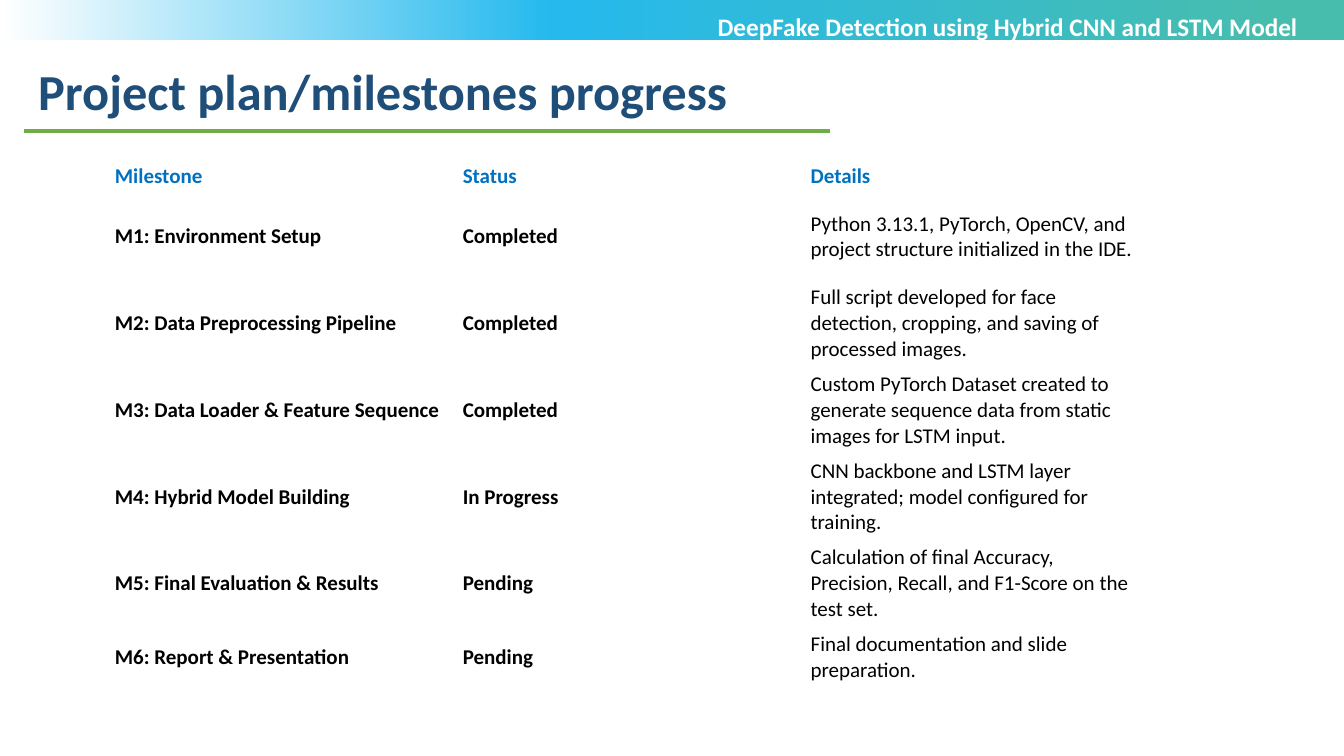
from pptx import Presentation
from pptx.dml.color import RGBColor
from pptx.enum.shapes import MSO_CONNECTOR, MSO_SHAPE
from pptx.enum.text import MSO_ANCHOR, PP_ALIGN
from pptx.oxml import parse_xml
from pptx.oxml.ns import nsdecls, qn
from pptx.util import Inches, Pt
from lxml.etree import SubElement

COLORS = {
    "teal": "47BDAE", "sky": "25B9ED", "white": "FFFFFF",
    "navy": "1F4E79", "green": "70AD47", "blue": "0070C0", "black": "000000",
}


def write(frame, text, size, color, bold=True):
    para = frame.paragraphs[0]
    run = para.add_run()
    run.text = text
    style = {"name": "Calibri", "size": Pt(size), "bold": bold}
    for key, value in style.items():
        setattr(run.font, key, value)
    run.font.color.rgb = RGBColor.from_string(COLORS[color])
    return para


def add_text(box, text, size, color):
    frame = slide.shapes.add_textbox(*map(Inches, box)).text_frame
    frame.word_wrap = True
    return write(frame, text, size, color)


deck = Presentation()
deck.slide_width, deck.slide_height = Inches(13.33), Inches(7.5)
slide = deck.slides.add_slide(deck.slide_layouts[6])

# Gradient band across the top
band = slide.shapes.add_shape(
    MSO_SHAPE.RECTANGLE, 0, 0, deck.slide_width, Inches(0.4))
band.shadow.inherit = False
band.line.fill.background()
band.fill.gradient()
band.fill.gradient_angle = 0
stops = "".join(
    f'<a:gs pos="{spot * 1000}"><a:srgbClr val="{COLORS[name]}"/></a:gs>'
    for spot, name in ((0, "white"), (41, "sky"), (95, "teal")))
grad = band._element.spPr.find(qn("a:gradFill"))
grad.replace(grad.find(qn("a:gsLst")),
             parse_xml(f'<a:gsLst {nsdecls("a")}>{stops}</a:gsLst>'))

# Title with its rule, and the project name in the band
add_text((0.28, 0.55, 11.62, 0.71),
         "Project plan/milestones progress", 36, "navy")
rule = slide.shapes.add_connector(
    MSO_CONNECTOR.STRAIGHT, Inches(0.24), Inches(1.3), Inches(8.23), Inches(1.3))
rule.line.color.rgb = RGBColor.from_string(COLORS["green"])
rule.line.width = Pt(2.25)
SubElement(rule._element.spPr, qn("a:effectLst"))
topic = add_text((6.66, 0.06, 6.67, 0.71),
                 "DeepFake Detection using Hybrid CNN and LSTM Model", 18, "white")
topic.alignment = PP_ALIGN.CENTER

# Milestone table
ROWS = [
    ("Milestone", "Status", "Details"),
    ("M1: Environment Setup", "Completed",
     "Python 3.13.1, PyTorch, OpenCV, and project structure initialized in the IDE."),
    ("M2: Data Preprocessing Pipeline", "Completed",
     "Full script developed for face detection, cropping, and saving of processed images."),
    ("M3: Data Loader & Feature Sequence", "Completed",
     "Custom PyTorch Dataset created to generate sequence data from static images for LSTM input."),
    ("M4: Hybrid Model Building", "In Progress",
     "CNN backbone and LSTM layer integrated; model configured for training."),
    ("M5: Final Evaluation & Results", "Pending",
     "Calculation of final Accuracy, Precision, Recall, and F1-Score on the test set."),
    ("M6: Report & Presentation", "Pending",
     "Final documentation and slide preparation."),
]
HEIGHTS = [0.34] + [0.86] * 5 + [0.6]
table = slide.shapes.add_table(
    len(ROWS), 3, Inches(1.05), Inches(1.58),
    Inches(10.34), Inches(sum(HEIGHTS))).table
for key, value in {"first_row": False, "horz_banding": False}.items():
    setattr(table, key, value)
for col in table.columns:
    col.width = Inches(3.45)

layout = {
    "vertical_anchor": MSO_ANCHOR.MIDDLE,
    "margin_left": Inches(0.09), "margin_right": Inches(0.09),
    "margin_top": Inches(0.04), "margin_bottom": Inches(0.04),
}
for r, (row, height) in enumerate(zip(ROWS, HEIGHTS)):
    table.rows[r].height = Inches(height)
    for c, text in enumerate(row):
        cell = table.cell(r, c)
        cell.fill.background()
        for key, value in layout.items():
            setattr(cell, key, value)
        write(cell.text_frame, text, 15,
              "black" if r else "blue", bold=r == 0 or c < 2)

deck.save("out.pptx")
